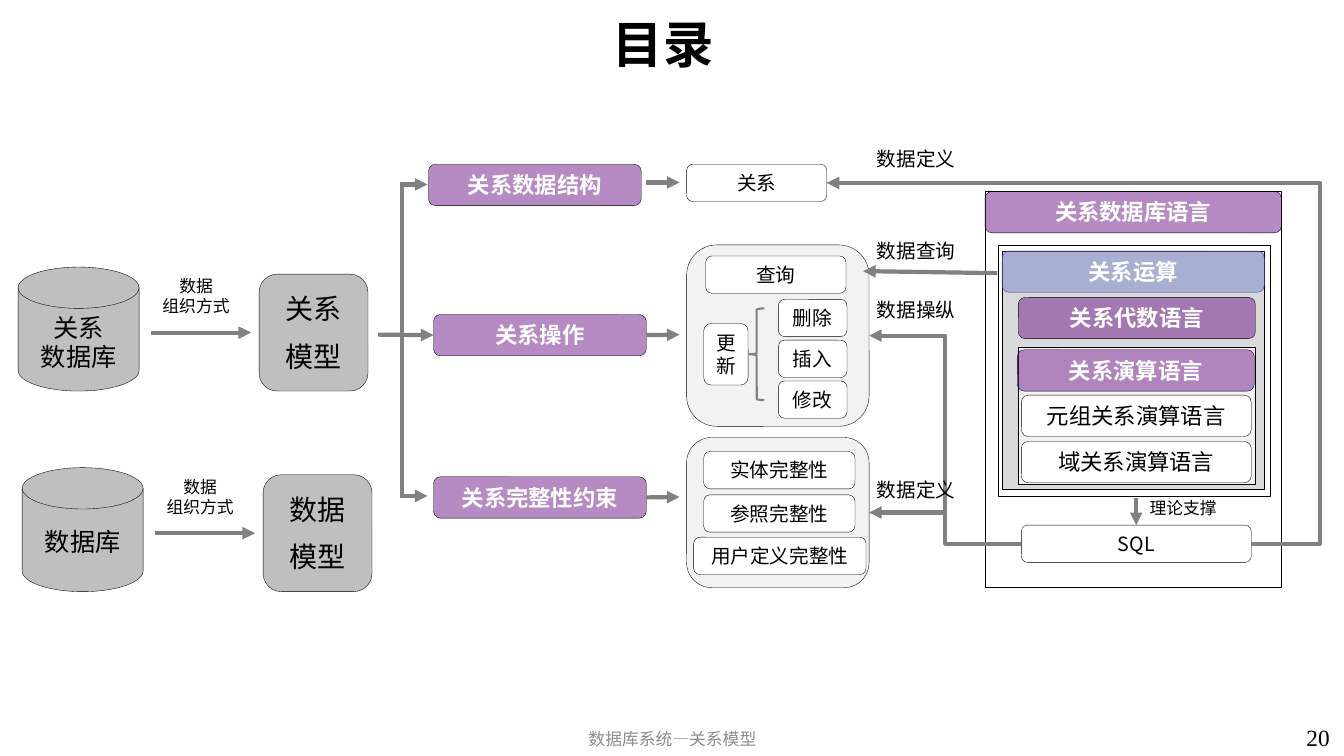
from lxml.etree import SubElement
from pptx import Presentation
from pptx.dml.color import RGBColor
from pptx.enum.shapes import MSO_CONNECTOR as CONN, MSO_SHAPE as SHAPE
from pptx.enum.text import MSO_ANCHOR as ANCHOR, PP_ALIGN as ALIGN
from pptx.oxml.ns import qn
from pptx.util import Inches, Pt

CJK, SERIF = "Noto Sans CJK SC", "Times New Roman"
BLACK, WHITE, GRAY, MUTED = "000000", "FFFFFF", "808080", "8C8C8C"

STYLES = {
    "frame": (SHAPE.RECTANGLE, WHITE, BLACK, 100),
    "shade": (SHAPE.RECTANGLE, "D9D9D9", BLACK, 100),
    "inner": (SHAPE.RECTANGLE, "F2F2F2", BLACK, 100),
    "outline": (SHAPE.RECTANGLE, None, BLACK, 100),
    "panel": (SHAPE.ROUNDED_RECTANGLE, "F2F2F2", BLACK, 100),
    "model": (SHAPE.ROUNDED_RECTANGLE, "BFBFBF", BLACK, 100),
    "disk": (SHAPE.FLOWCHART_MAGNETIC_DISK, "BFBFBF", BLACK, 100),
    "topic": (SHAPE.ROUNDED_RECTANGLE, "6F1787", BLACK, 50),
    "algebra": (SHAPE.ROUNDED_RECTANGLE, "7886CA", "3333CC", 50),
    "item": (SHAPE.ROUNDED_RECTANGLE, WHITE, BLACK, 100),
}
PANELS = [
    ("frame", 9.77, 1.9, 2.94, 3.93),
    ("shade", 9.94, 2.49, 2.6, 2.36),
    ("inner", 10.1, 3.44, 2.35, 1.36),
    ("outline", 9.9, 2.43, 2.7, 2.49),
]
GROUPS = {"操作组": (2.43, 1.8), "约束组": (4.34, 1.49)}
STORES = [
    (["关系", "数据库"], 3.05, 0.79, ["关系", "模型"]),
    (["数据库"], 5.18, 0.45, ["数据", "模型"]),
]
STORE_DX, STORE_DY = 0.04, 1.99

TOPICS = [
    ("topic", "关系数据结构", 4.25, 1.63, 2.11),
    ("topic", "关系操作", 4.3, 3.12, 2.11),
    ("topic", "关系完整性约束", 4.3, 4.73, 2.11),
    ("topic", "关系数据库语言", 9.77, 1.9, 2.94),
    ("algebra", "关系运算", 9.94, 2.49, 2.6),
    ("topic", "关系代数语言", 10.1, 2.95, 2.35),
    ("topic", "关系演算语言", 10.09, 3.47, 2.35),
]
CALCULI = [
    ("元组关系演算语言", 10.13, 3.92, 2.28),
    ("域关系演算语言", 10.13, 4.38, 2.28),
]
ITEMS = [
    ("关系", 6.81, 1.63, 1.39),
    ("查询", 7, 2.54, 1.39),
    ("实体完整性", 6.98, 4.48, 1.5),
    ("参照完整性", 6.98, 4.91, 1.5),
    ("用户定义完整性", 6.88, 5.33, 1.71),
    ("SQL", 10.13, 5.21, 2.28),
]
UPDATES = ["删除", "插入", "修改"]
LABELS = [("数据定义", 1.41), ("数据查询", 2.33), ("数据操纵", 2.91), ("数据定义", 4.7)]

TOP, LEFT, BOTTOM, RIGHT = range(4)
ARROWS = [
    (3.75, 3.32, 4.3, 3.32, None, ("关系操作", LEFT)),
    (3.97, 4.92, 4.24, 4.92, None, None),
    (3.97, 1.83, 4.24, 1.83, None, None),
    (6.41, 3.32, 6.74, 3.32, ("关系操作", RIGHT), None),
    (6.41, 1.81, 6.74, 1.81, None, None),
    (6.41, 4.93, 6.74, 4.93, ("关系完整性约束", RIGHT), None),
    (11.27, 4.94, 11.27, 5.21, None, ("SQL", TOP)),
    (9.89, 2.71, 8.56, 2.69, None, None),
]
ELBOWS = [
    (10.13, 5.4, 8.62, 5.08, ("SQL", LEFT), ("约束组", RIGHT), 50000),
    (10.13, 5.4, 8.62, 3.33, ("SQL", LEFT), ("操作组", RIGHT), 50000),
    (12.41, 5.4, 8.2, 1.81, ("SQL", RIGHT), ("关系", RIGHT), -16200),
]

prs = Presentation()
prs.slide_width, prs.slide_height = Inches(13.33), Inches(7.5)
slide = prs.slides.add_slide(prs.slide_layouts[6])
shapes = slide.shapes
nodes = {}


def rgb(color):
    return RGBColor.from_string(color)


def write(sp, lines, size, color=BLACK, bold=False, align=ALIGN.CENTER,
          anchor=ANCHOR.MIDDLE, font=CJK, tight=True, gap=0):
    tf = sp.text_frame
    tf.word_wrap = True
    tf.vertical_anchor = anchor
    for i, line in enumerate(lines):
        p = tf.add_paragraph() if i else tf.paragraphs[0]
        p.alignment = align
        if tight:
            p.line_spacing = Pt(round(size * 1.18, 1))
        if i and gap:
            p.space_before = Pt(gap)
        r = p.add_run()
        r.text = line
        r.font.name, r.font.size, r.font.bold = font, Pt(size), bold
        r.font.color.rgb = rgb(color)
        SubElement(r.font._element, qn("a:ea")).set("typeface", font)
    return tf


def text(lines, x, y, w, h, size, anchor=ANCHOR.TOP, **look):
    sp = shapes.add_textbox(Inches(x), Inches(y), Inches(w), Inches(h))
    write(sp, lines, size, anchor=anchor, **look)


def box(style, x, y, w, h):
    kind, fill, edge, opacity = STYLES[style]
    sp = shapes.add_shape(kind, Inches(x), Inches(y), Inches(w), Inches(h))
    sp.shadow.inherit = False
    if fill:
        sp.fill.solid()
        sp.fill.fore_color.rgb = rgb(fill)
        if opacity < 100:
            clr = sp._element.spPr.find(".//" + qn("a:srgbClr"))
            SubElement(clr, qn("a:alpha")).set("val", str(opacity * 1000))
    else:
        sp.fill.background()
    sp.line.color.rgb = rgb(edge)
    sp.line.width = Pt(0.25)
    return sp


def link(x1, y1, x2, y2, begin=None, end=None, adj=None, head=True):
    kind = CONN.STRAIGHT if adj is None else CONN.ELBOW
    cn = shapes.add_connector(kind, Inches(x1), Inches(y1), Inches(x2), Inches(y2))
    if begin:
        cn.begin_connect(nodes[begin[0]], begin[1])
    if end:
        cn.end_connect(nodes[end[0]], end[1])
    cn.line.color.rgb = rgb(GRAY)
    cn.line.width = Pt(3)
    if head:
        SubElement(cn.line._get_or_add_ln(), qn("a:tailEnd")).set("type", "triangle")
    spPr = cn._element.spPr
    SubElement(spPr, qn("a:effectLst"))
    if adj is not None:
        geom = spPr.find(qn("a:prstGeom"))
        av = geom.find(qn("a:avLst"))
        gd = SubElement(SubElement(geom, qn("a:avLst")) if av is None else av, qn("a:gd"))
        gd.set("name", "adj1")
        gd.set("fmla", f"val {adj}")


text(["目录"], 1.06, 0.06, 11.04, 0.74, 36, ANCHOR.MIDDLE, bold=True, tight=False)
text(["数据库系统—关系模型"], 4.42, 7.16, 4.5, 0.34, 12, ANCHOR.MIDDLE, color=MUTED, tight=False)
text(["20"], 12.86, 7.13, 0.47, 0.37, 16.6, align=ALIGN.LEFT, font=SERIF, tight=False)

for panel in PANELS:
    box(*panel)
for name, (y, h) in GROUPS.items():
    nodes[name] = box("panel", 6.81, y, 1.81, h)

for i, (store, store_y, store_h, model) in enumerate(STORES):
    dx, dy = i * STORE_DX, i * STORE_DY
    box("disk", 0.18 + dx, 2.65 + dy, 1.2, 1.23)
    sp = box("model", 2.57 + dx, 2.72 + dy, 1.08, 1.16)
    write(sp, model, 20, anchor=ANCHOR.TOP, gap=10).margin_top = Inches(0.13)
    text(store, 0.26 + dx, store_y, 1.04, store_h, 18)
    link(1.5 + dx, 3.3 + dy, 2.49 + dx, 3.3 + dy)
    text(["数据", "组织方式"], 1.31 + dx, 2.69 + dy, 1.27, 0.56, 12)

for style, name, x, y, w in TOPICS:
    nodes[name] = box(style, x, y, w, 0.41)
    write(nodes[name], [name], 16, WHITE, True)
for name, x, y, w in CALCULI:
    write(box("item", x, y, w, 0.41), [name], 16)
updates = [(name, 7.72, 2.97 + 0.405 * i, 0.68) for i, name in enumerate(UPDATES)]
for name, x, y, w in ITEMS + updates:
    nodes[name] = box("item", x, y, w, 0.37)
    write(nodes[name], [name], 14)
write(box("item", 6.98, 3.21, 0.44, 0.61), ["更新"], 14)

brace = shapes.add_shape(SHAPE.LEFT_BRACE, Inches(7.43), Inches(3.06), Inches(0.15), Inches(0.91))
brace.shadow.inherit = False
brace.fill.background()
brace.line.color.rgb = rgb(GRAY)
brace.line.width = Pt(1.5)

link(3.99, 1.83, 3.99, 4.92, head=False)
for arrow in ARROWS + ELBOWS:
    link(*arrow)

text(["理论支撑"], 11.1, 4.89, 1.27, 0.34, 12)
for label, y in LABELS:
    text([label], 8.6, y, 1.27, 0.34, 14, align=ALIGN.LEFT)

prs.save("out.pptx")
